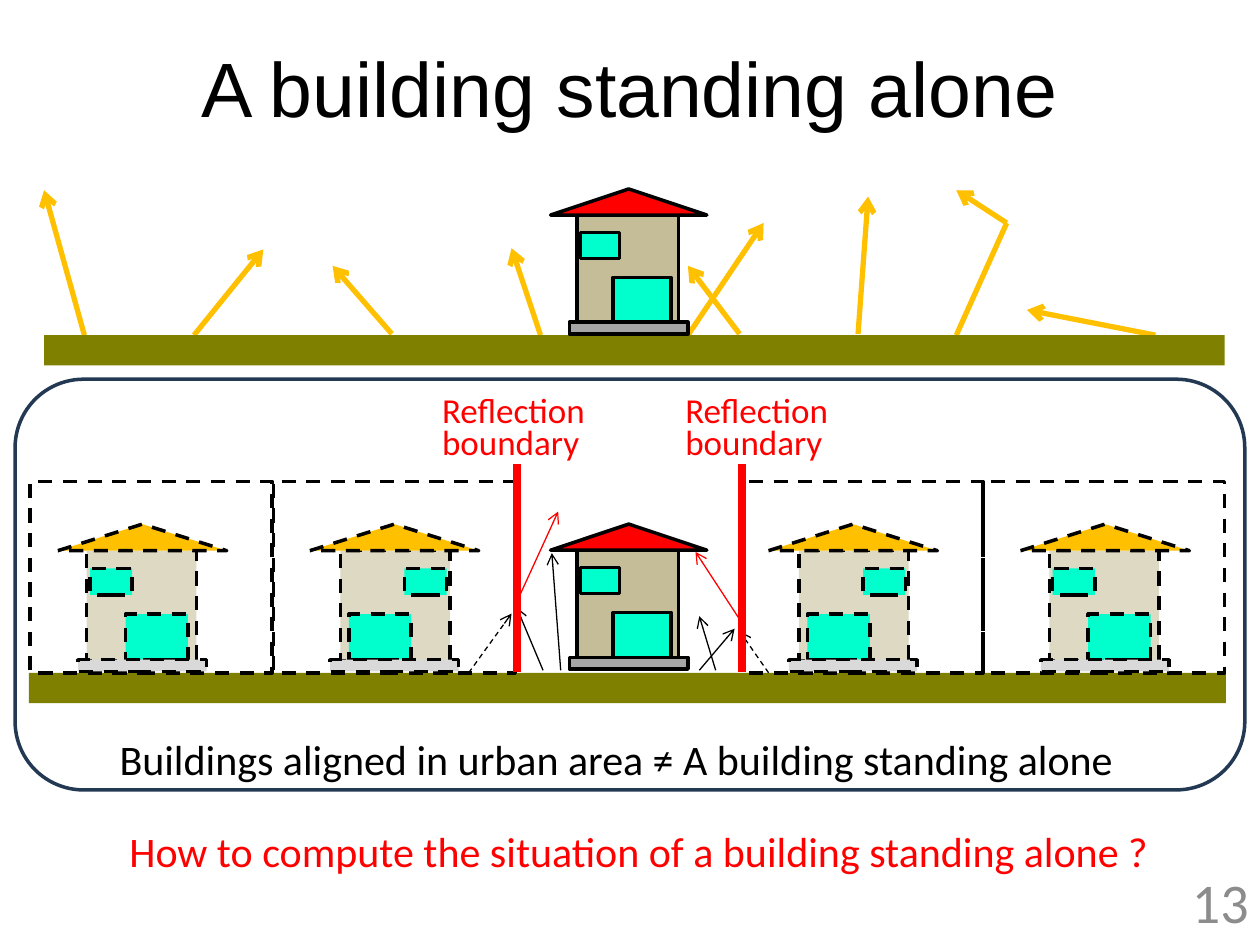
from lxml.etree import SubElement
from pptx import Presentation
from pptx.dml.color import RGBColor as RGB
from pptx.enum.dml import MSO_LINE
from pptx.enum.shapes import MSO_CONNECTOR, MSO_SHAPE as SHAPE
from pptx.enum.text import MSO_ANCHOR as ANCHOR, PP_ALIGN as ALIGN
from pptx.oxml.ns import qn
from pptx.util import Inches, Pt

C = {
    "black": "000000", "red": "FF0000", "ray": "FFC000", "ground": "808000",
    "wall": "C4BD97", "glass": "00FFCC", "base": "A6A6A6",
    "ghost wall": "DDD9C3", "ghost base": "D9D9D9", "frame": "233953", "grey": "8C8C8C",
}

prs = Presentation()
prs.slide_width, prs.slide_height = Inches(10), Inches(7.5)
COL = prs.slide_width / 100  # grid of 100 columns
ROW = prs.slide_height / 75  # and 75 rows
s = prs.slides.add_slide(prs.slide_layouts[6])


def add_box(kind, x, y, w, h, fill=None, line=None, dashed=False):
    sp = s.shapes.add_shape(kind, int(x * COL), int(y * ROW), int(w * COL), int(h * ROW))
    sp.shadow.inherit = False
    if fill:
        sp.fill.solid()
        sp.fill.fore_color.rgb = RGB.from_string(C[fill])
    else:
        sp.fill.background()
    if line:
        sp.line.color.rgb = RGB.from_string(C[line])
        sp.line.width = Pt(2)
        if dashed:
            sp.line.dash_style = MSO_LINE.DASH
    else:
        sp.line.fill.background()


def add_line(x1, y1, x2, y2, color, width, dashed=False, arrow=True):
    ln = s.shapes.add_connector(MSO_CONNECTOR.STRAIGHT, int(x1 * COL), int(y1 * ROW),
                                int(x2 * COL), int(y2 * ROW))
    ln.line.color.rgb = RGB.from_string(C[color])
    ln.line.width = Pt(width)
    if dashed:
        ln.line.dash_style = MSO_LINE.DASH
    if arrow:
        SubElement(ln.line._get_or_add_ln(), qn("a:tailEnd"), type="arrow")
    SubElement(ln._element.spPr, qn("a:effectLst"))


# Ground and rays of the open scene
add_box(SHAPE.RECTANGLE, 2.3, 53.4, 95, 2.4, "ground")
add_line(75.9, 26.6, 79.9, 17.7, "ray", 3, arrow=False)
for x1, y1, x2, y2 in [
    (58.7, 26.5, 54.6, 21.1), (42.9, 26.6, 40.6, 19.7), (54.6, 26.6, 60.6, 17.7),
    (15.4, 26.6, 20.9, 19.8), (6.7, 26.6, 3.5, 15.1), (91.7, 26.6, 81.5, 24.6),
    (31.1, 26.5, 26.4, 21.1), (68.1, 26.5, 68.9, 15.6), (79.9, 17.7, 75.9, 15.1),
]:
    add_line(x1, y1, x2, y2, "ray", 3)
add_box(SHAPE.RECTANGLE, 3.5, 26.6, 93.7, 2.4, "ground")

# Rays around the real building, and the mirrored plots beside it
for x1, y1, x2, y2 in [(44.5, 53.2, 43.8, 43.9), (56.8, 53.2, 55.5, 48.9),
                       (43.1, 53.2, 41, 48.2), (55.5, 53.2, 58.3, 49.9)]:
    add_line(x1, y1, x2, y2, "black", 0.75)
for x in (2.4, 21.7, 58.8, 78):
    add_box(SHAPE.RECTANGLE, x, 38.2, 19.2, 15.2, line="black", dashed=True)
for x1, x2, y2 in [(37.2, 40.6, 48.7), (61, 58.7, 50.1)]:
    add_line(x1, 53.4, x2, y2, "black", 0.75, dashed=True)

# Houses: parts as shares of the house's width and height
parts = [
    ("wall", SHAPE.RECTANGLE, 0.17, 0.18, 0.65, 0.75),
    ("roof", SHAPE.ISOSCELES_TRIANGLE, 0, 0, 1, 0.18),
    ("window", SHAPE.RECTANGLE, 0.19, 0.3, 0.25, 0.18),
    ("door", SHAPE.RECTANGLE, 0.4, 0.61, 0.37, 0.31),
    ("base", SHAPE.RECTANGLE, 0.12, 0.92, 0.76, 0.08),
]
real = {"wall": "wall", "roof": "red", "window": "glass", "door": "glass", "base": "base"}
ghost = real | {"wall": "ghost wall", "roof": "ray", "base": "ghost base"}
for x, y, w, h, fills, mirrored in [
    (43.7, 15, 12.4, 11.5, real, False), (43.7, 41.6, 12.4, 11.5, real, False),
    (4.6, 41.6, 13.4, 11.7, ghost, False), (24.6, 41.6, 13.4, 11.7, ghost, True),
    (61, 41.6, 13.4, 11.7, ghost, True), (81, 41.6, 13.4, 11.7, ghost, False),
]:
    for name, kind, px, py, pw, ph in parts:
        left = 1 - px - pw if mirrored else px
        add_box(kind, x + left * w, y + py * h, pw * w, ph * h,
                fills[name], "black", fills is ghost)

# Reflection boundaries
for x in (41, 58.9):
    add_line(x, 36.8, x, 53.3, "red", 4.5, arrow=False)
add_line(41, 47.8, 44.3, 40.6, "red", 0.75)
add_line(58.6, 49, 55.2, 43.8, "red", 0.75)
add_box(SHAPE.ROUNDED_RECTANGLE, 1.2, 30.1, 97.6, 32.6, line="frame")

# Texts
boundary = "Reflection boundary"
for text, x, y, w, h, size, font, color, align, anchor in [
    ("A building standing alone", 5, 0.6, 90, 12.5, 44, "Arial", "black", ALIGN.CENTER, ANCHOR.MIDDLE),
    (boundary, 34.1, 31.2, 13.5, 6.2, 20, "Calibri", "red", ALIGN.LEFT, ANCHOR.TOP),
    (boundary, 53.4, 31.2, 13.5, 6.2, 20, "Calibri", "red", ALIGN.LEFT, ANCHOR.TOP),
    ("Buildings aligned in urban area ≠ A building standing alone",
     8.5, 57.7, 82.5, 5, 24, "Calibri", "black", ALIGN.LEFT, ANCHOR.TOP),
    ("How to compute the situation of a building standing alone ?",
     8.7, 65, 84, 5, 24, "Calibri", "red", ALIGN.CENTER, ANCHOR.TOP),
    ("13", 76.8, 69.5, 23.3, 4, 32, "Calibri", "grey", ALIGN.RIGHT, ANCHOR.MIDDLE),
]:
    tf = s.shapes.add_textbox(int(x * COL), int(y * ROW), int(w * COL), int(h * ROW)).text_frame
    tf.word_wrap = True
    tf.vertical_anchor = anchor
    p = tf.paragraphs[0]
    p.text = text
    p.alignment = align
    if text == boundary:
        p.line_spacing = Pt(18)
    p.font.size, p.font.name = Pt(size), font
    p.font.color.rgb = RGB.from_string(C[color])

prs.save("out.pptx")
